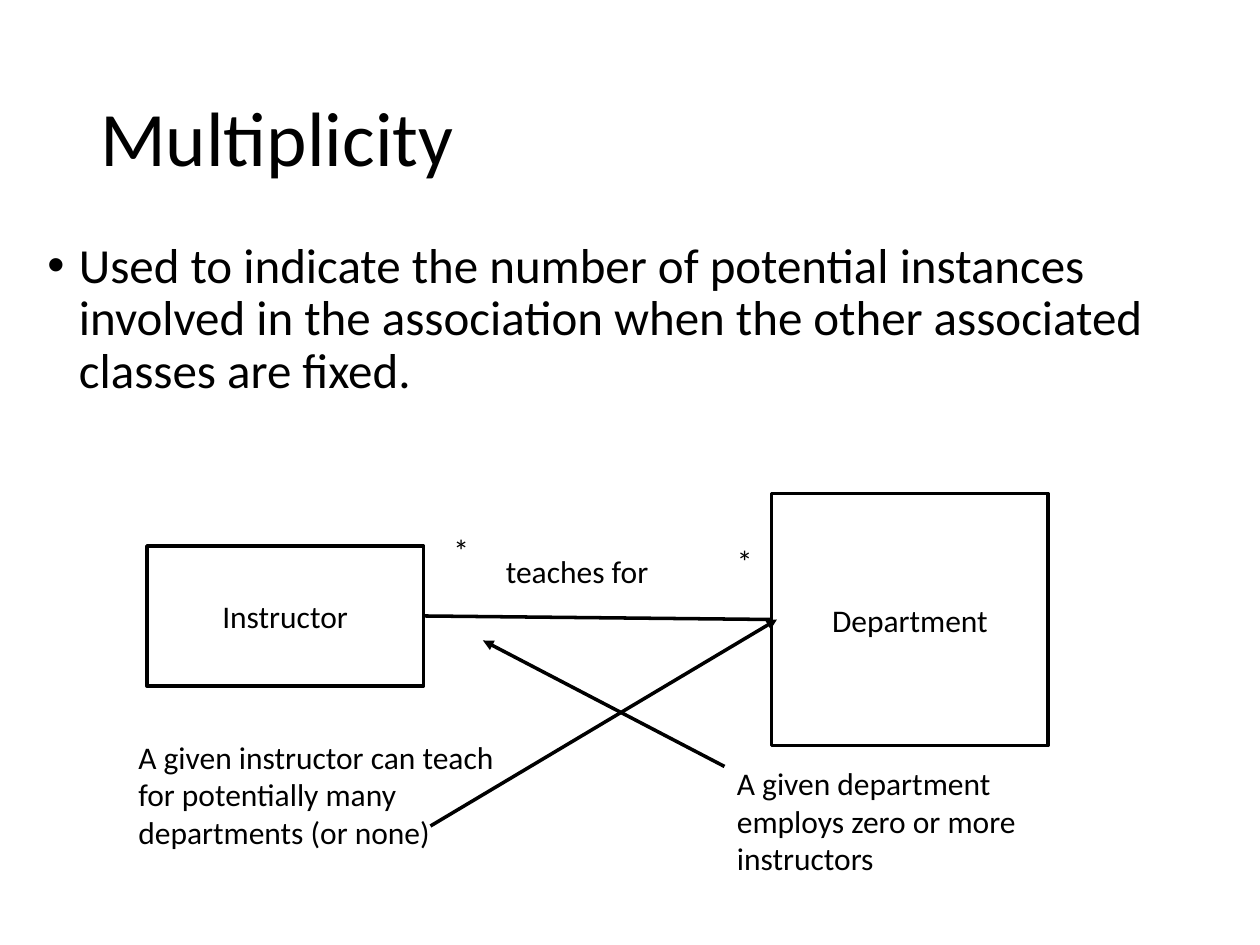
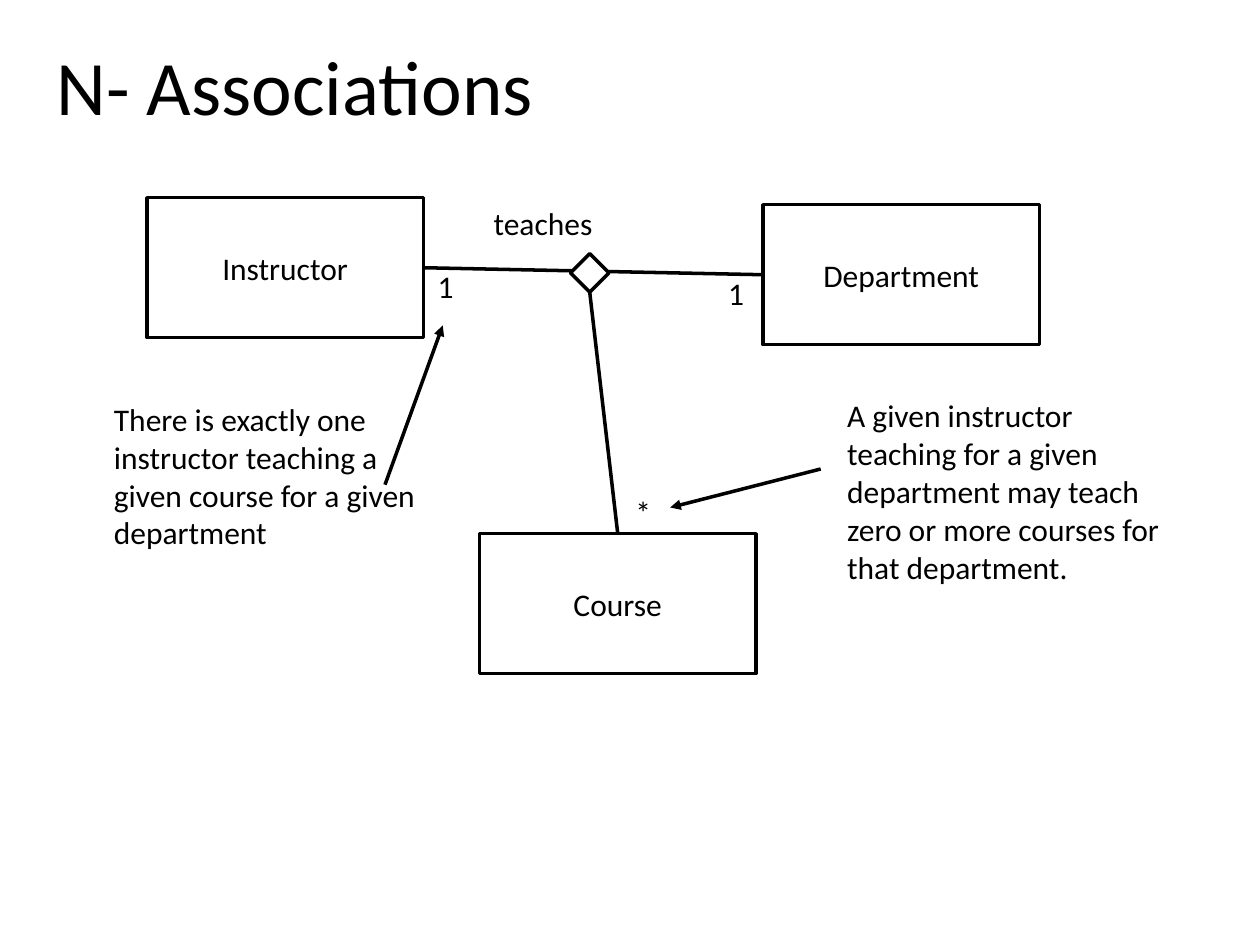
from lxml import etree
from pptx import Presentation
from pptx.dml.color import RGBColor
from pptx.enum import shapes as es, text as et
from pptx.oxml.ns import qn
from pptx.util import Pt

# Shared style
FONT, INK, PAPER = "Calibri", "000000", "FFFFFF"
HEAD, BODY, NOTE = 44, 28, 18
BOX = (158, 80)
TOP, LEFT, BASE, RIGHT = range(4)  # connection sites of a shape

# Content: parts run from back to front, lengths in points
SLIDES = [
    {
        "title": ("Multiplicity", 50, 29),
        "parts": [
            ("bullet", "Used to indicate the number of potential instances involved in "
                       "the association when the other associated classes are fixed.",
             20, 134, 675, 116),
            ("box", "Instructor", 84, 312),
            ("box", "Department", 441, 282, 158, 144),
            ("link", "Department", LEFT, "Instructor", RIGHT),
            ("label", "teaches for", 282, 312, 119),
            ("label", "A given instructor can teach for potentially many "
                      "departments (or none)", 72, 418, 227, 124),
            ("arrow", 246, 472, 444, 354),
            ("label", "A given department employs zero or more instructors",
             414, 433, 207, 94),
            ("arrow", 414, 438, 276, 366),
            ("label", "*", 414, 306),
            ("label", "*", 252, 300),
        ],
    },
    {
        "title": ("N- Associations", 25, 0),
        "parts": [
            ("box", "Instructor", 84, 113),
            ("box", "Department", 436, 117),
            ("link", "Department", LEFT, "Instructor", RIGHT),
            ("label", "teaches", 275, 113, 85),
            ("label", "1", 243, 149),
            ("label", "1", 409, 153),
            ("joint", "teaches", 326, 145, 22),
            ("box", "Course", 274, 305),
            ("link", "Course", TOP, "teaches", BASE),
            ("label", "*", 356, 278),
            ("arrow", 469, 268, 383, 290),
            ("label", "A given instructor teaching for a given department may teach "
                      "zero or more courses for that department.", 477, 223, 207, 181),
            ("label", "There is exactly one instructor teaching a given course for a "
                      "given department", 58, 225, 207, 153),
            ("arrow", 220, 277, 253, 186),
        ],
    },
]


def color(code):
    return RGBColor.from_string(code)


def assign(obj, vals):
    for key, val in vals.items():
        setattr(obj, key, val)


def place(shape, *at):
    assign(shape, dict(zip(("left", "top", "width", "height"), map(Pt, at))))


def write(shape, words, size, frame=None, para=None):
    tf = shape.text_frame
    assign(tf, {"word_wrap": True, **(frame or {})})
    tf.text = words
    p = tf.paragraphs[0]
    assign(p, {"alignment": et.PP_ALIGN.LEFT, **(para or {})})
    run = p.runs[0]
    assign(run.font, {"name": FONT, "size": Pt(size)})
    run.font.color.rgb = color(INK)
    return p


def ink(line):
    line.color.rgb = color(INK)
    line.width = Pt(2)


class Page:
    def __init__(self, deck, data):
        slide = deck.slides.add_slide(deck.slide_layouts[5])
        self.items, self.nodes = slide.shapes, {}
        words, x, y = data["title"]
        place(self.items.title, x, y, 621, 104)
        write(self.items.title, words, HEAD,
              {"vertical_anchor": et.MSO_ANCHOR.MIDDLE}, {"line_spacing": 0.9})
        for kind, *args in data["parts"]:
            getattr(self, kind)(*args)

    # Text
    def label(self, words, x, y, w=27, h=36, size=NOTE, para=None):
        area = self.items.add_textbox(*map(Pt, (x, y, w, h)))
        return write(area, words, size, para=para)

    def bullet(self, words, *at):
        p = self.label(words, *at, BODY, {"line_spacing": 0.9})
        props = p._p.get_or_add_pPr()
        assign_xml = {"marL": Pt(18), "indent": -Pt(18)}
        for key, val in assign_xml.items():
            props.set(key, str(int(val)))
        etree.SubElement(props, qn("a:buFont"), typeface="Arial")
        etree.SubElement(props, qn("a:buChar"), char="•")

    # Nodes
    def node(self, form, name, *at):
        shape = self.items.add_shape(form, *map(Pt, at))
        shape.shadow.inherit = False
        shape.fill.solid()
        shape.fill.fore_color.rgb = color(PAPER)
        ink(shape.line)
        self.nodes[name] = shape
        return shape

    def box(self, name, x, y, w=BOX[0], h=BOX[1]):
        shape = self.node(es.MSO_SHAPE.RECTANGLE, name, x, y, w, h)
        write(shape, name, NOTE, {"vertical_anchor": et.MSO_ANCHOR.MIDDLE},
              {"alignment": et.PP_ALIGN.CENTER})

    def joint(self, name, x, y, side):
        self.node(es.MSO_SHAPE.DIAMOND, name, x, y, side, side)

    # Lines
    def line(self, *ends):
        con = self.items.add_connector(es.MSO_CONNECTOR.STRAIGHT, *map(Pt, ends))
        ink(con.line)
        etree.SubElement(con._element.spPr, qn("a:effectLst"))
        return con

    def link(self, start, site, end, goal):
        con = self.line(0, 0, 0, 0)
        con.begin_connect(self.nodes[start], site)
        con.end_connect(self.nodes[end], goal)

    def arrow(self, *ends):
        ln = self.line(*ends).line._get_or_add_ln()
        etree.SubElement(ln, qn("a:tailEnd"), type="triangle")


def main():
    deck = Presentation()
    assign(deck, {"slide_width": Pt(720), "slide_height": Pt(540)})
    for data in SLIDES:
        Page(deck, data)
    deck.save("out.pptx")


if __name__ == "__main__":
    main()
